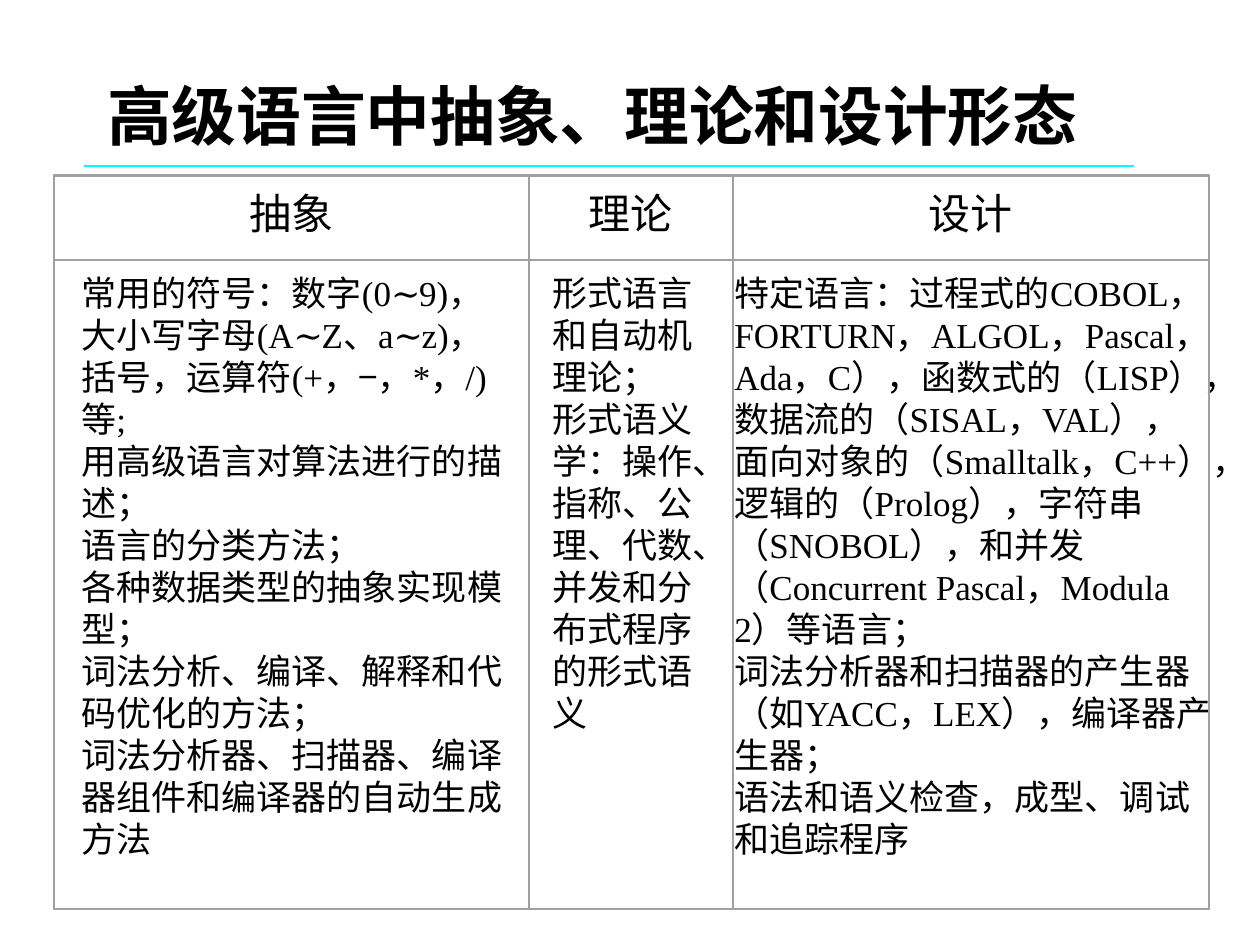
from lxml import etree
from pptx import Presentation
from pptx.dml.color import RGBColor
from pptx.enum.shapes import MSO_CONNECTOR, MSO_SHAPE
from pptx.enum.text import MSO_ANCHOR, PP_ALIGN
from pptx.oxml.ns import qn
from pptx.util import Pt

BLACK = RGBColor(0x00, 0x00, 0x00)
CYAN = RGBColor(0x00, 0xFF, 0xFF)
GRAY = RGBColor(0xA0, 0xA0, 0xA0)
LEFT, CENTER = PP_ALIGN.LEFT, PP_ALIGN.CENTER
TOP, MIDDLE = MSO_ANCHOR.TOP, MSO_ANCHOR.MIDDLE
RECTANGLE = MSO_SHAPE.RECTANGLE
STRAIGHT = MSO_CONNECTOR.STRAIGHT
PX = 914400 / 126

TITLE = "高级语言中抽象、理论和设计形态"
COLUMNS = [
    ("抽象", 475, (69, 447), [
        "常用的符号：数字(0∼9)，大小写字母(A∼Z、a∼z)，括号，运算符(+，−，*，/)等;",
        "用高级语言对算法进行的描述；",
        "语言的分类方法；",
        "各种数据类型的抽象实现模型；",
        "词法分析、编译、解释和代码优化的方法；",
        "词法分析器、扫描器、编译器组件和编译器的自动生成方法",
    ]),
    ("理论", 204, (540, 183), [
        "形式语言和自动机理论；",
        "形式语义学：操作、指称、公理、代数、并发和分布式程序的形式语义",
    ]),
    ("设计", 476, (722, 503), [
        "特定语言：过程式的COBOL，FORTURN，ALGOL，Pascal，Ada，C），"
        "函数式的（LISP），数据流的（SISAL，VAL），"
        "面向对象的（Smalltalk，C++），逻辑的（Prolog），"
        "字符串（SNOBOL），和并发（Concurrent Pascal，Modula 2）等语言；",
        "词法分析器和扫描器的产生器（如YACC，LEX），编译器产生器；",
        "语法和语义检查，成型、调试和追踪程序",
    ]),
]
GRID_LEFT, GRID_TOP = 54, 176
HEAD_HEIGHT, BODY_HEIGHT = 84, 649
HAIRLINE, OUTER = 0, 0.87
LINE_FACTOR = 1.2


def px(n):
    return round(n * PX)


def add_frame(left, top, width, height, weight):
    sp = s.shapes.add_shape(RECTANGLE, px(left), px(top), px(width), px(height))
    sp.shadow.inherit = False
    sp.fill.background()
    sp.line.color.rgb = GRAY
    sp.line.width = Pt(weight)


def add_text(box, texts, size, font, align, spacing, anchor=TOP, inset=6, bold=False):
    tf = s.shapes.add_textbox(*map(px, box)).text_frame
    tf.word_wrap = True
    tf.vertical_anchor = anchor
    tf.margin_top = px(inset)
    for i, text in enumerate(texts):
        p = tf.add_paragraph() if i else tf.paragraphs[0]
        p.alignment = align
        p.line_spacing = spacing
        r = p.add_run()
        r.text = text
        r.font.size = Pt(size)
        r.font.name = font
        r.font.bold = bold
        r.font.color.rgb = BLACK


def add_cell(frame, text_left, text_width, texts, size, align):
    _, top, _, height = frame
    add_text((text_left, top, text_width, height), texts, size, "Times New Roman",
             align, Pt(size * LINE_FACTOR), inset=11)
    add_frame(*frame, HAIRLINE)


prs = Presentation()
prs.slide_width, prs.slide_height = px(1260), px(945)
s = prs.slides.add_slide(prs.slide_layouts[6])

left, body_top = GRID_LEFT, GRID_TOP + HEAD_HEIGHT
for heading, width, (text_left, text_width), items in COLUMNS:
    add_cell((left, GRID_TOP, width, HEAD_HEIGHT), left, width, [heading], 24, CENTER)
    add_cell((left, body_top, width, BODY_HEIGHT), text_left, text_width, items, 20, LEFT)
    left += width
add_frame(GRID_LEFT, GRID_TOP - 1, left - GRID_LEFT, HEAD_HEIGHT + BODY_HEIGHT + 1, OUTER)

add_text((95, 62, 1071, 116), [TITLE], 37, "Calibri", LEFT, 0.9, MIDDLE, bold=True)

rule = s.shapes.add_connector(STRAIGHT, px(84), px(166), px(1134), px(166))
rule.line.color.rgb = CYAN
rule.line.width = Pt(0.75)
etree.SubElement(rule._element.spPr, qn("a:effectLst"))

prs.save("out.pptx")
